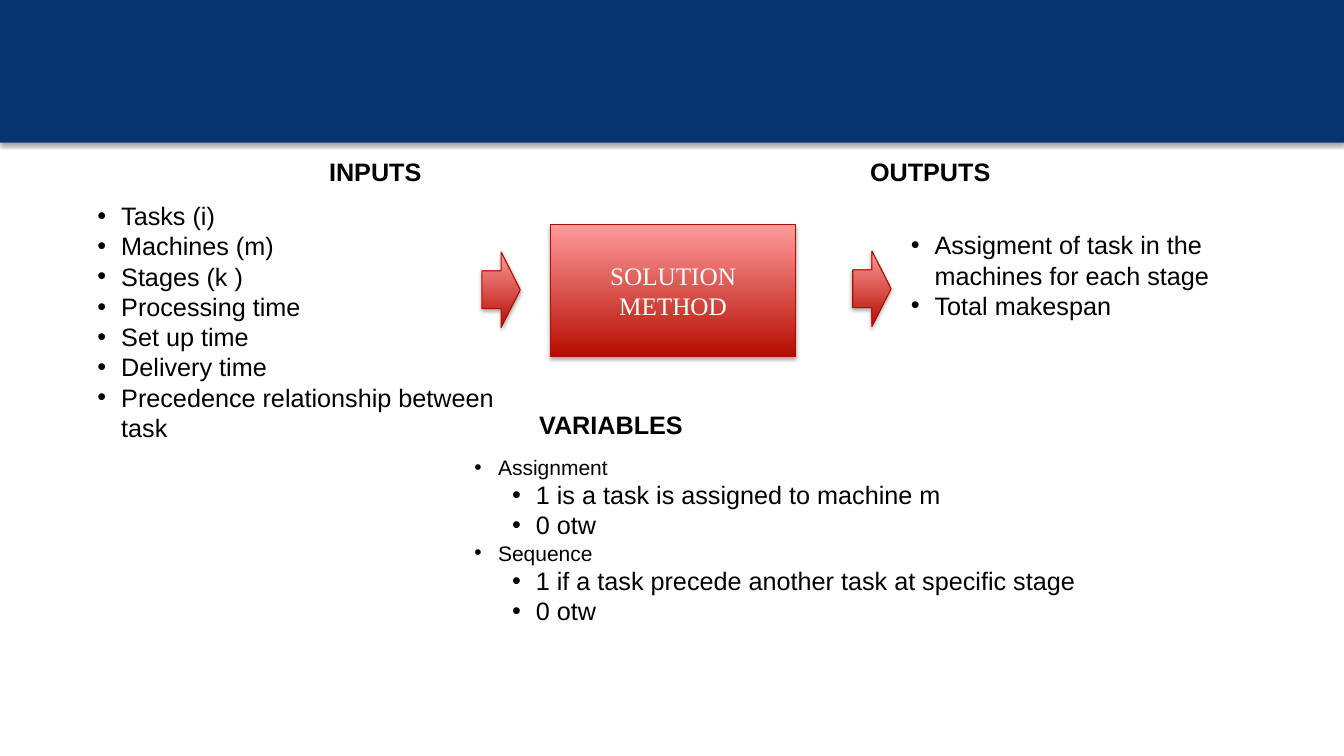
from dataclasses import dataclass

from lxml import etree
from pptx import Presentation
from pptx.dml.color import RGBColor
from pptx.enum import shapes, text
from pptx.oxml import ns, parse_xml
from pptx.util import Pt


@dataclass(frozen=True)
class Theme:
    navy: str = "083470"
    dark: str = "B50C00"
    light: str = "FF9C9C"
    edge: str = "B10C00"
    ink: str = "000000"
    white: str = "FFFFFF"
    sans: str = "Arial"
    serif: str = "Times New Roman"
    body: float = 18
    small: float = 15


THEME = Theme()
KIND = shapes.MSO_SHAPE
ALIGN = text.PP_ALIGN
INDENT = 17  # hanging indent of a bullet
STEP = 27  # extra indent of the second level


def rgb(code):
    return RGBColor.from_string(code)


def style(para, size=THEME.body, face=THEME.sans, color=THEME.ink, bold=False):
    font = para.font
    font.size = Pt(size)
    font.name = face
    font.bold = bold
    font.color.rgb = rgb(color)


def add_shadow(shape):
    shape.shadow.inherit = False
    effects = shape.element.spPr.find(ns.qn("a:effectLst"))
    effects.append(parse_xml(
        f'<a:outerShdw {ns.nsdecls("a")} blurRad="{Pt(3.1)}" dist="{Pt(1.8)}" '
        f'dir="5400000" rotWithShape="0"><a:srgbClr val="{THEME.ink}">'
        '<a:alpha val="35000"/></a:srgbClr></a:outerShdw>'))


def add_block(slide, kind, left, top, width, height):
    shape = slide.shapes.add_shape(kind, Pt(left), Pt(top), Pt(width), Pt(height))
    add_shadow(shape)
    return shape


def add_band(slide, width, height):
    band = add_block(slide, KIND.RECTANGLE, 0, 0, width, height)
    band.fill.solid()
    band.fill.fore_color.rgb = rgb(THEME.navy)
    band.line.fill.background()


def add_red(slide, kind, *place):
    """Add a shape that shades from light red at the top to dark red."""
    shape = add_block(slide, kind, *place)
    shape.fill.gradient()
    shape.fill.gradient_angle = 90
    for stop, code, spot in zip(shape.fill.gradient_stops,
                                (THEME.dark, THEME.light), (0, 1)):
        stop.color.rgb = rgb(code)
        stop.position = spot
    shape.line.color.rgb = rgb(THEME.edge)
    shape.line.width = Pt(0.75)
    return shape


def add_method(slide, label, *place):
    frame = add_red(slide, KIND.RECTANGLE, *place).text_frame
    frame.word_wrap = True
    frame.vertical_anchor = text.MSO_ANCHOR.MIDDLE
    para = frame.paragraphs[0]
    para.text = label
    para.alignment = ALIGN.CENTER
    style(para, face=THEME.serif, color=THEME.white)


def add_frame(slide, left, top, width, height):
    box = slide.shapes.add_textbox(Pt(left), Pt(top), Pt(width), Pt(height))
    frame = box.text_frame
    frame.word_wrap = True
    frame.auto_size = text.MSO_AUTO_SIZE.SHAPE_TO_FIT_TEXT
    return frame


def add_head(slide, label, left, top, width, align=ALIGN.CENTER):
    para = add_frame(slide, left, top, width, 29).paragraphs[0]
    para.text = label
    para.alignment = align
    style(para, bold=True)


def add_bullet(para, level):
    props = para._p.get_or_add_pPr()
    props.set("marL", str(Pt(INDENT + STEP * level)))
    props.set("indent", str(-Pt(INDENT)))
    etree.SubElement(props, ns.qn("a:buFont"), typeface=THEME.sans)
    etree.SubElement(props, ns.qn("a:buChar"), char="•")


def add_list(slide, items, *place):
    """Add bullets from (label, level, size) items."""
    frame = add_frame(slide, *place)
    for i, (label, level, size) in enumerate(items):
        para = frame.add_paragraph() if i else frame.paragraphs[0]
        para.text = label
        para.level = level
        add_bullet(para, level)
        style(para, size)


def plain(*labels):
    return [(label, 0, THEME.body) for label in labels]


def group(title, *cases):
    return [(title, 0, THEME.small)] + [(case, 1, THEME.body) for case in cases]


def main():
    deck = Presentation()
    deck.slide_width, deck.slide_height = Pt(960), Pt(540)
    slide = deck.slides.add_slide(deck.slide_layouts[6])

    add_band(slide, 960, 102)
    add_method(slide, "SOLUTION METHOD", 393, 160.3, 175.5, 94.5)
    for left, top in ((344.2, 180), (609.1, 179.3)):
        add_red(slide, KIND.RIGHT_ARROW, left, top, 27.4, 54)

    add_head(slide, "INPUTS", 228, 108, 117, ALIGN.LEFT)
    add_list(slide, plain("Tasks (i)", "Machines (m)", "Stages (k )",
                          "Processing time", "Set up time", "Delivery time",
                          "Precedence relationship between task"),
             62.5, 139.7, 322.5, 181.5)

    add_head(slide, "OUTPUTS", 606, 108, 117)
    add_list(slide, plain("Assigment of task in the machines for each stage",
                          "Total makespan"),
             643.5, 160.5, 281.5, 72.7)

    add_head(slide, "VARIABLES", 344.7, 288.5, 183.5)
    add_list(slide,
             group("Assignment", "1 is a task is assigned to machine m", "0 otw")
             + group("Sequence",
                     "1 if a task precede another task at specific stage", "0 otw"),
             331.7, 321, 474, 131)

    deck.save("out.pptx")


if __name__ == "__main__":
    main()
